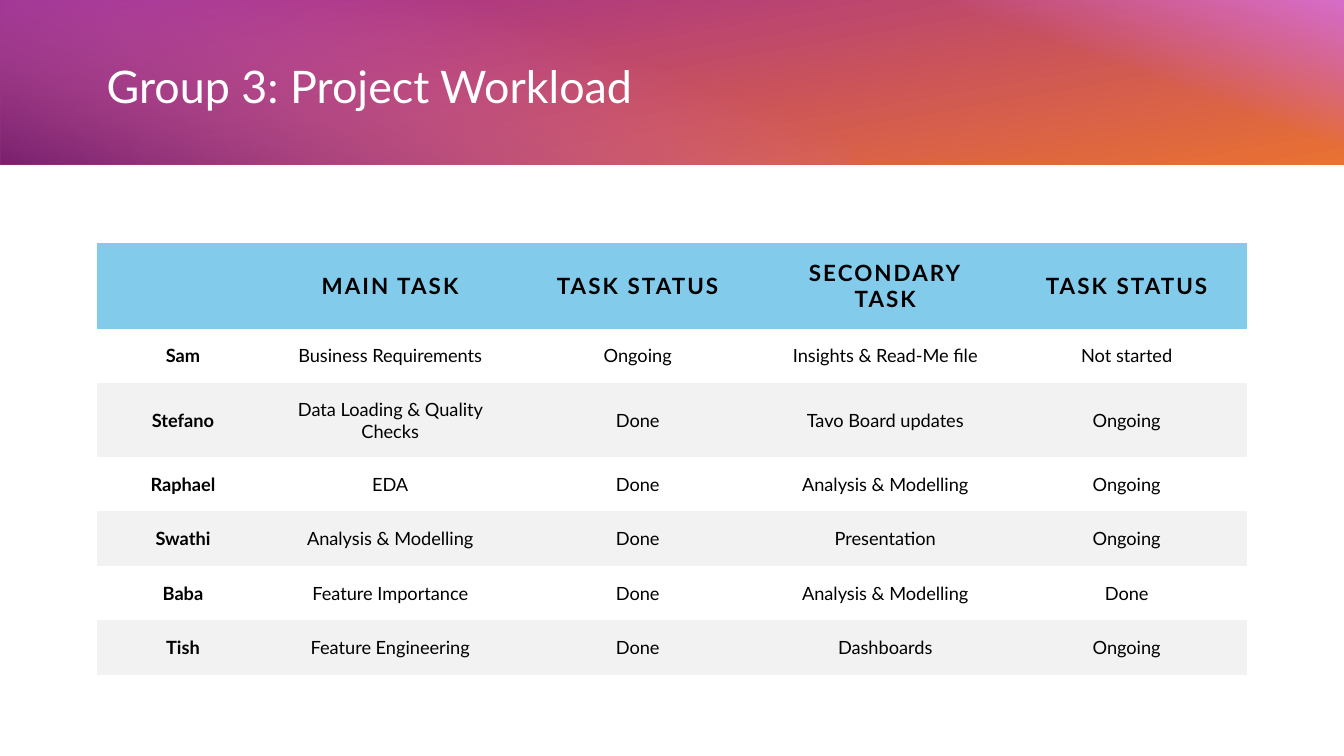
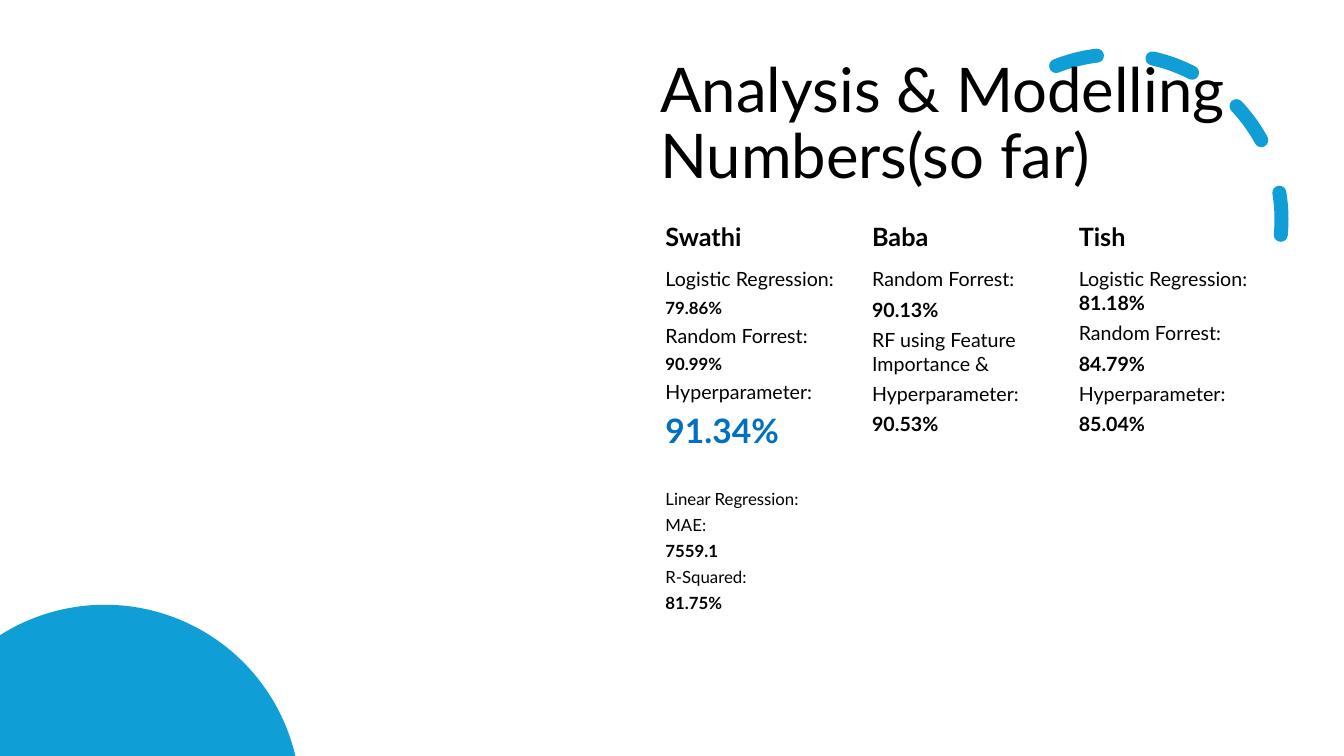
import math

import pptx
import pptx.dml.color
import pptx.enum.dml
import pptx.enum.shapes
import pptx.enum.text
import pptx.oxml.ns
import pptx.oxml.xmlchemy
import pptx.util

Inches = pptx.util.Inches
Pt = pptx.util.Pt
SHAPE = pptx.enum.shapes.MSO_SHAPE
MIDDLE = pptx.enum.text.MSO_ANCHOR.MIDDLE
CENTER = pptx.enum.text.PP_ALIGN.CENTER
qn = pptx.oxml.ns.qn

FONT = "Lato"
WIDE, HIGH = 13.33, 7.5
BLACK, WHITE, BLUE, DEEP = "000000", "FFFFFF", "0F9ED5", "0070C0"
HEAD, STRIPE = "83CBEB", "F2F2F2"
PLUM, ORANGE, PINK, DARK = "A02B93", "E97132", "D86ECC", "78206E"
PLAIN = "{2D5ABB26-0587-4C30-8999-92F81FD0307C}"

TASKS = [
    ("", "MAIN TASK", "TASK STATUS", "SECONDARY TASK", "TASK STATUS"),
    ("Sam", "Business Requirements", "Ongoing", "Insights & Read-Me file", "Not started"),
    ("Stefano", "Data Loading & Quality Checks", "Done", "Tavo Board updates", "Ongoing"),
    ("Raphael", "EDA", "Done", "Analysis & Modelling", "Ongoing"),
    ("Swathi", "Analysis & Modelling", "Done", "Presentation", "Ongoing"),
    ("Baba", "Feature Importance", "Done", "Analysis & Modelling", "Done"),
    ("Tish", "Feature Engineering", "Done", "Dashboards", "Ongoing"),
]

SCORES = {
    "Swathi": [
        ("Logistic Regression:", 14), ("79.86%", 12),
        ("Random Forrest:", 14), ("90.99%", 12),
        ("Hyperparameter:", 14), ("91.34%", 24),
        ("Linear Regression:", 12), ("MAE:", 12), ("7559.1", 12),
        ("R-Squared:", 12), ("81.75%", 12),
    ],
    "Baba": [
        ("Random Forrest:", 14), ("90.13%", 14),
        ("RF using Feature Importance &", 14),
        ("Hyperparameter:", 14), ("90.53%", 14),
    ],
    "Tish": [
        ("Logistic Regression:\n81.18%", 14),
        ("Random Forrest:", 14), ("84.79%", 14),
        ("Hyperparameter:", 14), ("85.04%", 14),
    ],
}


def hue(code):
    """Turn a hex string into a colour."""
    return pptx.dml.color.RGBColor.from_string(code)


def style(para, size, code=BLACK, bold=False):
    """Set the font of a whole paragraph."""
    font = para.font
    font.name, font.size, font.bold = FONT, Pt(size), bold
    font.color.rgb = hue(code)


def frame(slide, box, pads=(0.1, 0.05, 0.1, 0.05)):
    """Add a wrapping text box and return its text frame."""
    text = slide.shapes.add_textbox(*map(Inches, box)).text_frame
    text.word_wrap = True
    (text.margin_left, text.margin_top,
     text.margin_right, text.margin_bottom) = map(Inches, pads)
    return text


def title(slide, box, words, size, code):
    """Write a slide title, centred on the height of its box."""
    text = frame(slide, box)
    text.vertical_anchor = MIDDLE
    para = text.paragraphs[0]
    para.text = words
    para.line_spacing = 0.9
    style(para, size, code)


def blend(slide, box, turn, angle, stops):
    """Fill a box with a gradient on a rectangle turned by a right angle."""
    left, top, width, height = box
    shift = (width - height) / 2
    shape = slide.shapes.add_shape(SHAPE.RECTANGLE, *map(
        Inches, (left + shift, top - shift, height, width)))
    shape.rotation = turn
    shape.shadow.inherit = False
    shape.line.fill.background()
    shape.fill.gradient()
    shape.fill.gradient_angle = 360 - angle
    for stop, (place, code, clear) in zip(shape.fill.gradient_stops, stops):
        stop.position = place
        stop.color.rgb = hue(code)
        if clear:
            paint = stop._gs.find(qn("a:srgbClr"))
            paint.append(pptx.oxml.xmlchemy.OxmlElement("a:alpha"))
            paint[-1].set("val", "0")


def banner(slide, box):
    """Layer the three gradients of the top band."""
    left, top, width, height = box
    blend(slide, box, 270, 170, [(0, PLUM, False), (1, ORANGE, False)])
    blend(slide, (left + width - 5.54, top, 5.54, height), 270, 20,
          [(0.59, PINK, True), (1, PINK, False)])
    blend(slide, (left, top, 8.44, height), 90, 20,
          [(0.29, PINK, True), (1, DARK, False)])


def fill_cell(cell, words, size, bold, code, space):
    """Write one table cell and colour its ground."""
    cell.margin_left = cell.margin_right = Inches(0.15)
    cell.margin_top = cell.margin_bottom = Inches(0.15)
    cell.vertical_anchor = MIDDLE
    if code:
        cell.fill.solid()
        cell.fill.fore_color.rgb = hue(code)
    else:
        cell.fill.background()
    para = cell.text_frame.paragraphs[0]
    para.text = words
    para.alignment = CENTER
    style(para, size, BLACK, bold)
    para._p.pPr.find(qn("a:defRPr")).set("spc", str(space))


def task_grid(slide, box):
    """Draw the table of tasks with a tall head and striped rows."""
    table = slide.shapes.add_table(
        len(TASKS), len(TASKS[0]), *map(Inches, box)).table
    table._tbl.tblPr.find(qn("a:tableStyleId")).text = PLAIN
    table.first_row = table.horz_banding = False
    for column, width in zip(table.columns, (1.71, 2.4, 2.51, 2.4, 2.39)):
        column.width = Inches(width)
    for r, line in enumerate(TASKS):
        top = r == 0
        table.rows[r].height = Inches(0.85 if top else 0.54)
        code = HEAD if top else (None if r % 2 else STRIPE)
        for c, words in enumerate(line):
            fill_cell(table.cell(r, c), words, 16 if top else 13,
                      top or c == 0, code, 150 if top else 0)


def dash_arc(slide, box):
    """Draw the dashed arc in the top corner."""
    arc = slide.shapes.add_shape(SHAPE.ARC, *map(Inches, box))
    arc.adjustments[0], arc.adjustments[1] = 144.42, 0
    arc.rotation = 66.1
    arc._element.spPr.xfrm.set("flipH", "1")
    arc.shadow.inherit = False
    arc.fill.background()
    arc.line.color.rgb = hue(BLUE)
    arc.line.width = Pt(10)
    arc.line.dash_style = pptx.enum.dml.MSO_LINE.DASH
    arc.line._ln.set("cap", "rnd")


def dome(slide, box, mid, radius):
    """Draw the part of a circle that shows inside a corner box."""
    left, top, width, height = box
    base = top + height
    core = top + radius
    start = math.pi - math.acos((mid - left) / radius)
    end = math.asin((core - base) / radius)
    steps = 60
    turns = [start + (end - start) * i / steps for i in range(steps + 1)]
    rim = [(mid + radius * math.cos(t), core - radius * math.sin(t))
           for t in turns]
    points = [(Inches(x), Inches(y)) for x, y in [(left, base)] + rim]
    build = slide.shapes.build_freeform(*points[0])
    build.add_line_segments(points[1:], close=True)
    shape = build.convert_to_shape()
    shape.shadow.inherit = False
    shape.fill.solid()
    shape.fill.fore_color.rgb = hue(BLUE)
    shape.line.fill.background()


def score_list(slide, box, name, scores):
    """Write one person's name above the scores, with figures in bold."""
    left, top, width, height = box
    head = frame(slide, (left, top, width, 0.46), (0.15, 0.03, 0.03, 0.03))
    head.paragraphs[0].text = name
    style(head.paragraphs[0], 18, BLACK, True)
    body = frame(slide, (left, top + 0.46, width, height - 0.46),
                 (0.15, 0.02, 0.02, 0.02))
    for i, (words, size) in enumerate(scores):
        para = body.add_paragraph() if i else body.paragraphs[0]
        style(para, size, DEEP if size == 24 else BLACK, words[0].isdigit())
        para.space_after = Pt(0.35 * size)
        if words.startswith("Linear"):
            para.space_before = Pt(18.6)
        first, *rest = words.split("\n")
        para.add_run().text = first
        for part in rest:
            para.add_line_break()
            run = para.add_run()
            run.text = part
            run.font.bold = True


def work_slide(slide):
    """Build the slide with the table of tasks."""
    banner(slide, (0, -0.02, WIDE, 1.65))
    title(slide, (0.96, 0.33, 11.46, 1.1), "Group 3: Project Workload", 32, WHITE)
    task_grid(slide, (0.96, 2.41, 11.41, 4.09))


def score_slide(slide):
    """Build the slide with three columns of scores."""
    dash_arc(slide, (9.44, 0.54, 3.27, 3.27))
    title(slide, (6.45, 0.52, 5.97, 1.45),
          "Analysis & Modelling Numbers(so far)", 44, BLACK)
    dome(slide, (0, 6, 2.92, HIGH - 6), 1.04, 1.94)
    for i, (name, scores) in enumerate(SCORES.items()):
        score_list(slide, (6.45 + 2.05 * i, 2.17, 1.86, 4.59), name, scores)


def main():
    """Build both slides and save the file."""
    deck = pptx.Presentation()
    deck.slide_width, deck.slide_height = Inches(WIDE), Inches(HIGH)
    for build in (work_slide, score_slide):
        build(deck.slides.add_slide(deck.slide_layouts[6]))
    deck.save("out.pptx")


if __name__ == "__main__":
    main()
